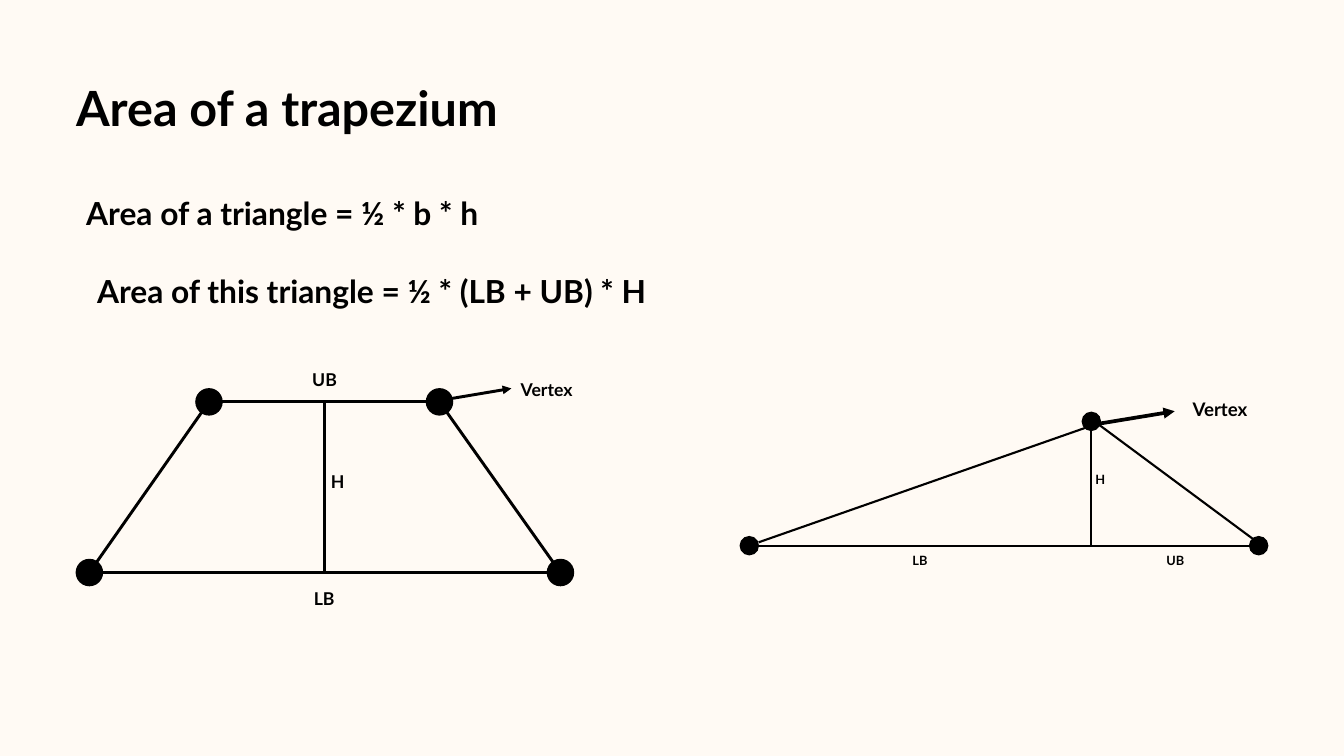
from lxml import etree
from pptx import Presentation, util as u
from pptx.dml.color import RGBColor
from pptx.enum import shapes, text
from pptx.oxml.ns import qn

COLORS = {"background": "FFFAF4", "ink": "000000"}
INK = RGBColor.from_string(COLORS["ink"])

presentation = Presentation()
presentation.slide_width = u.Inches(20)
presentation.slide_height = u.Inches(11.25)
slide = presentation.slides.add_slide(presentation.slide_layouts[5])
slide.background.fill.solid()
slide.background.fill.fore_color.rgb = RGBColor.from_string(COLORS["background"])


def write(words, box, size, shape=None):
    left, top, width, height = [u.Inches(value) for value in box]
    if shape is None:
        shape = slide.shapes.add_textbox(left, top, width, height)
    shape.left, shape.top, shape.width, shape.height = left, top, width, height
    frame = shape.text_frame
    frame.margin_left = frame.margin_top = frame.margin_right = frame.margin_bottom = 0
    frame.word_wrap = False
    frame.auto_size = text.MSO_AUTO_SIZE.NONE
    frame.vertical_anchor = text.MSO_ANCHOR.TOP
    paragraph = frame.paragraphs[0]
    paragraph.text = words
    paragraph.alignment = text.PP_ALIGN.CENTER
    paragraph.line_spacing = u.Pt(round(size * 1.4, 1))
    paragraph.font.name = "Lato"
    paragraph.font.size = u.Pt(size)
    paragraph.font.bold = True
    paragraph.font.color.rgb = INK


def draw_line(start, end, weight, arrow=False):
    connector = slide.shapes.add_connector(
        shapes.MSO_CONNECTOR.STRAIGHT, *[u.Inches(value) for value in start + end])
    connector.line.color.rgb = INK
    connector.line.width = u.Pt(weight)
    if arrow:
        etree.SubElement(connector.line._get_or_add_ln(), qn("a:tailEnd"), type="triangle")
    etree.SubElement(connector._element.spPr, qn("a:effectLst"))


triangle_lines = [
    ((16.23, 6.27), (16.23, 8.12)),
    ((16.34, 6.31), (18.78, 8.12)),
    ((16.17, 6.36), (11.29, 8.07)),
    ((16.24, 8.12), (18.72, 8.12)),
    ((11.14, 8.12), (16.23, 8.12)),
]
triangle_vertices = [(18.73, 8.12), (11.15, 8.12), (16.24, 6.27)]

upper_left, upper_right = (3.11, 5.98), (6.54, 5.98)
lower_left, lower_right = (1.33, 8.52), (8.34, 8.52)
trapezium_lines = [
    ((4.83, 5.98), (4.83, 8.52)),
    (upper_right, lower_right),
    (upper_left, lower_left),
    (upper_left, upper_right),
    (lower_left, lower_right),
]
trapezium_vertices = [upper_left, upper_right, lower_right, lower_left]

for lines, weight, vertices, diameter in [
    (triangle_lines, 2.28, triangle_vertices, 0.29),
    (trapezium_lines, 3.15, trapezium_vertices, 0.41),
]:
    for start, end in lines:
        draw_line(start, end, weight)
    for x, y in vertices:
        vertex = slide.shapes.add_shape(
            shapes.MSO_SHAPE.OVAL, u.Inches(x - diameter / 2), u.Inches(y - diameter / 2),
            u.Inches(diameter), u.Inches(diameter))
        vertex.shadow.inherit = False
        vertex.fill.solid()
        vertex.fill.fore_color.rgb = INK
        vertex.line.fill.background()

draw_line((6.6, 5.95), (7.61, 5.78), 3.15, arrow=True)
draw_line((16.2, 6.33), (17.48, 6.12), 4, arrow=True)

write("Area of a trapezium", (0.84, 1.02, 6.86, 0.97), 52, shape=slide.shapes.title)
for words, box, size in [
    ("Area of a triangle = ½ * b * h", (0.98, 2.79, 6.44, 0.63), 34),
    ("Area of this triangle = ½ * (LB + UB) * H", (0.66, 3.95, 9.74, 0.63), 34),
    ("LB", (13.57, 8.18, 0.24, 0.25), 13.7),
    ("UB", (17.35, 8.18, 0.28, 0.25), 13.7),
    ("H", (16.3, 6.98, 0.15, 0.25), 13.7),
    ("LB", (4.66, 8.69, 0.33, 0.34), 18.9),
    ("UB", (4.64, 5.43, 0.38, 0.34), 18.9),
    ("H", (4.92, 6.95, 0.21, 0.34), 18.9),
    ("Vertex", (7.72, 5.58, 0.83, 0.34), 18.9),
    ("Vertex", (17.63, 5.86, 1.05, 0.37), 20),
]:
    write(words, box, size)

presentation.save("out.pptx")
